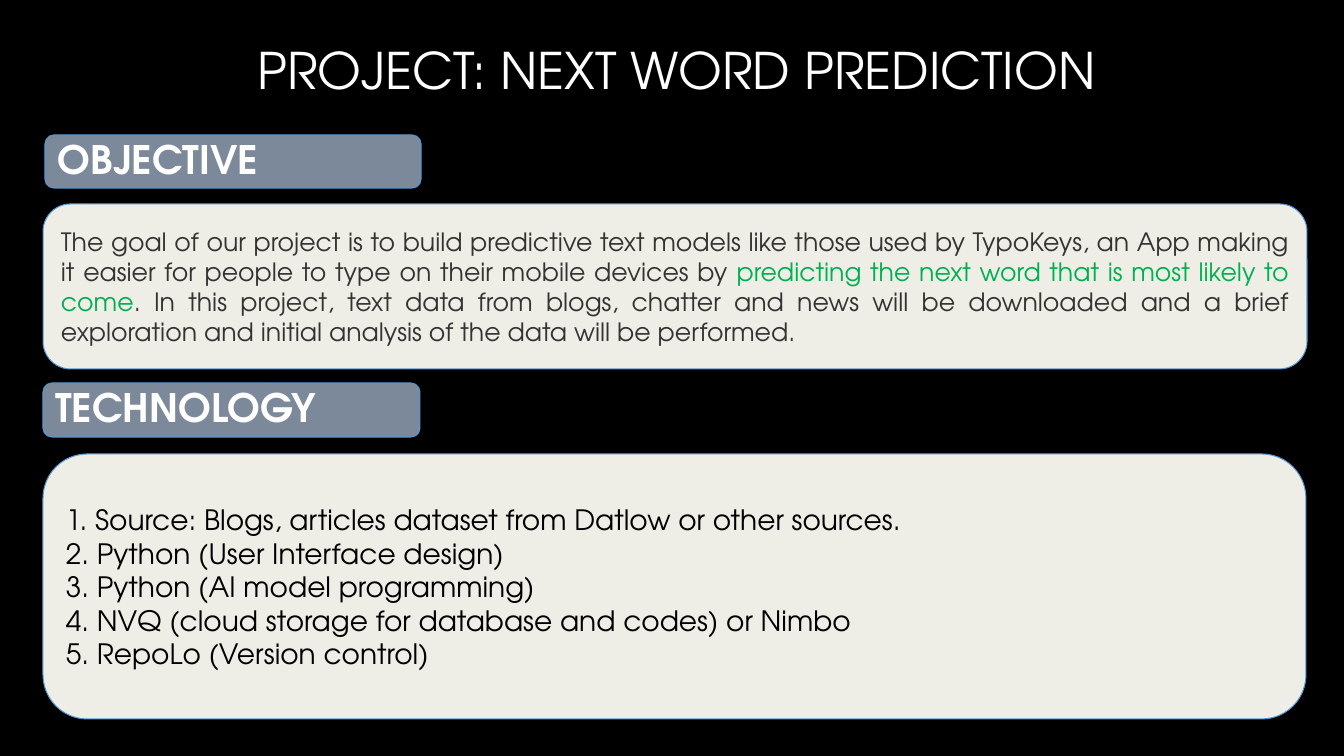
from dataclasses import dataclass

from pptx import Presentation
from pptx.dml.color import RGBColor
from pptx.enum.shapes import MSO_SHAPE
from pptx.enum.text import MSO_ANCHOR, PP_ALIGN
from pptx.util import Emu, Pt

EMU_PER_PX = 914400 / 100.8


@dataclass(frozen=True)
class Theme:
    font: str = "TeX Gyre Adventor"
    background: str = "000000"
    white: str = "FFFFFF"
    black: str = "000000"
    body: str = "333333"
    highlight: str = "00B050"
    heading_fill: str = "7C899A"
    panel_fill: str = "EEEDE6"
    outline: str = "5597D3"
    title_size: int = 36
    heading_size: int = 28
    list_size: int = 20
    body_size: int = 18


THEME = Theme()

OBJECTIVE = [
    ("The goal of our project is to build predictive text models like those "
     "used by TypoKeys, an App making it easier for people to type on their "
     "mobile devices by ", THEME.body),
    ("predicting the next word that is most likely to come", THEME.highlight),
    (". In this project, text data from blogs, chatter and news will be "
     "downloaded and a brief exploration and initial analysis of the data "
     "will be performed. ", THEME.body),
]

TECHNOLOGY = [
    "1. Source: Blogs, articles dataset from Datlow or other sources.",
    "2. Python (User Interface design)",
    "3. Python (AI model programming)",
    "4. NVQ (cloud storage for database and codes) or Nimbo",
    "5. RepoLo (Version control)",
]


def px(length):
    return Emu(round(length * EMU_PER_PX))


def rgb(color):
    return RGBColor.from_string(color)


def write(holder, paragraphs, *, size, align=PP_ALIGN.LEFT, spacing=None,
          bold=False):
    """Fill a shape with paragraphs, each a list of (text, color) runs."""
    frame = holder.text_frame
    frame.word_wrap = True
    frame.vertical_anchor = MSO_ANCHOR.MIDDLE
    for index, runs in enumerate(paragraphs):
        paragraph = frame.add_paragraph() if index else frame.paragraphs[0]
        paragraph.alignment = align
        if spacing:
            paragraph.line_spacing = spacing
        for text, color in runs:
            run = paragraph.add_run()
            run.text = text
            run.font.name = THEME.font
            run.font.size = Pt(size)
            run.font.bold = bold
            run.font.color.rgb = rgb(color)


def add_title(slide, text, box):
    title = slide.shapes.add_textbox(*map(px, box))
    write(title, [[(text, THEME.white)]], size=THEME.title_size,
          align=PP_ALIGN.CENTER, spacing=0.9)


def add_rounded_box(slide, box, fill):
    rounded = slide.shapes.add_shape(MSO_SHAPE.ROUNDED_RECTANGLE, *map(px, box))
    rounded.shadow.inherit = False
    rounded.fill.solid()
    rounded.fill.fore_color.rgb = rgb(fill)
    rounded.line.color.rgb = rgb(THEME.outline)
    rounded.line.width = Pt(0.75)
    return rounded


def add_heading(slide, text, box):
    heading = add_rounded_box(slide, box, THEME.heading_fill)
    write(heading, [[(text, THEME.white)]], size=THEME.heading_size,
          spacing=0.9, bold=True)


def add_panel(slide, paragraphs, box, **text_format):
    panel = add_rounded_box(slide, box, THEME.panel_fill)
    write(panel, paragraphs, **text_format)


def main():
    deck = Presentation()
    deck.slide_width, deck.slide_height = px(1344), px(756)
    slide = deck.slides.add_slide(deck.slide_layouts[6])
    slide.background.fill.solid()
    slide.background.fill.fore_color.rgb = rgb(THEME.background)

    add_title(slide, "PROJECT: NEXT WORD PREDICTION", (45, 30, 1263, 87))

    # Objective
    add_panel(slide, [OBJECTIVE], (43, 204, 1264, 165),
              size=THEME.body_size, align=PP_ALIGN.JUSTIFY)
    add_heading(slide, "OBJECTIVE", (45, 135, 376, 53))

    # Technology
    add_panel(slide, [[(item, THEME.black)] for item in TECHNOLOGY],
              (43, 454, 1263, 265), size=THEME.list_size)
    add_heading(slide, "TECHNOLOGY", (43, 383, 377, 54))

    deck.save("out.pptx")


if __name__ == "__main__":
    main()
